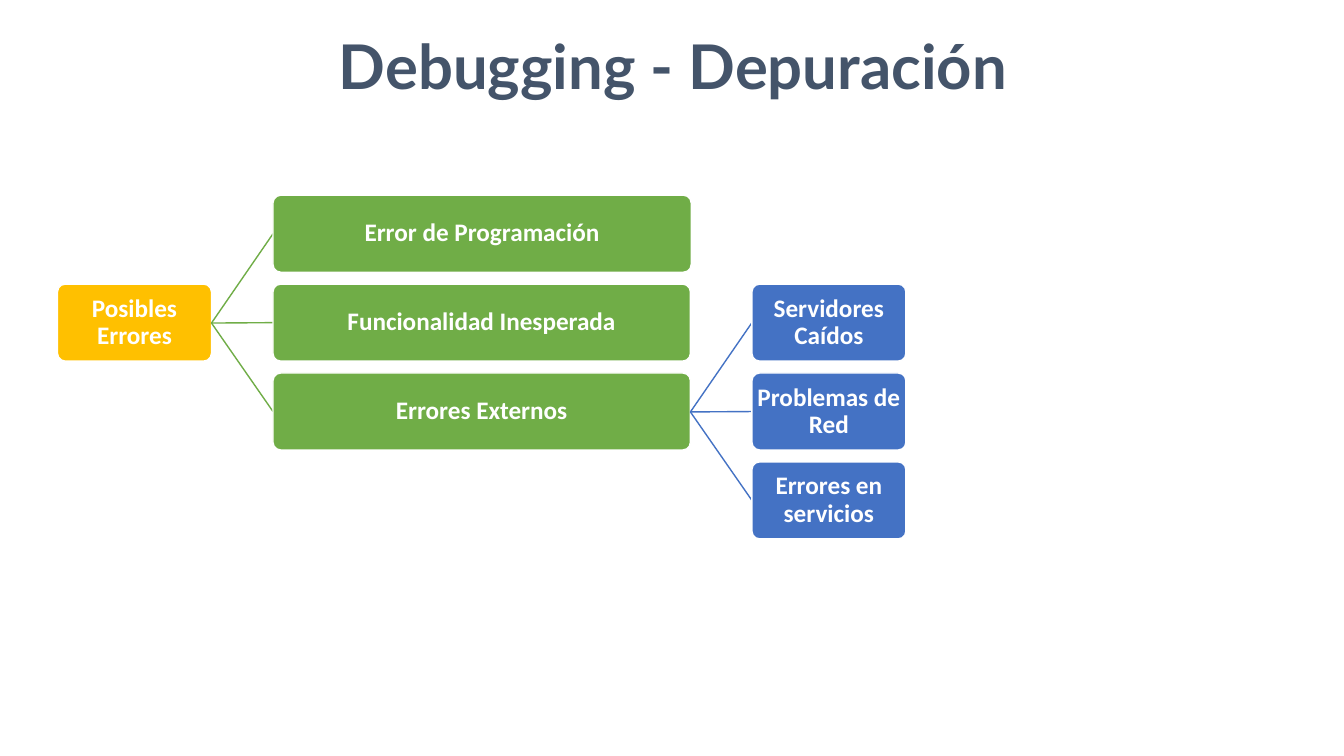
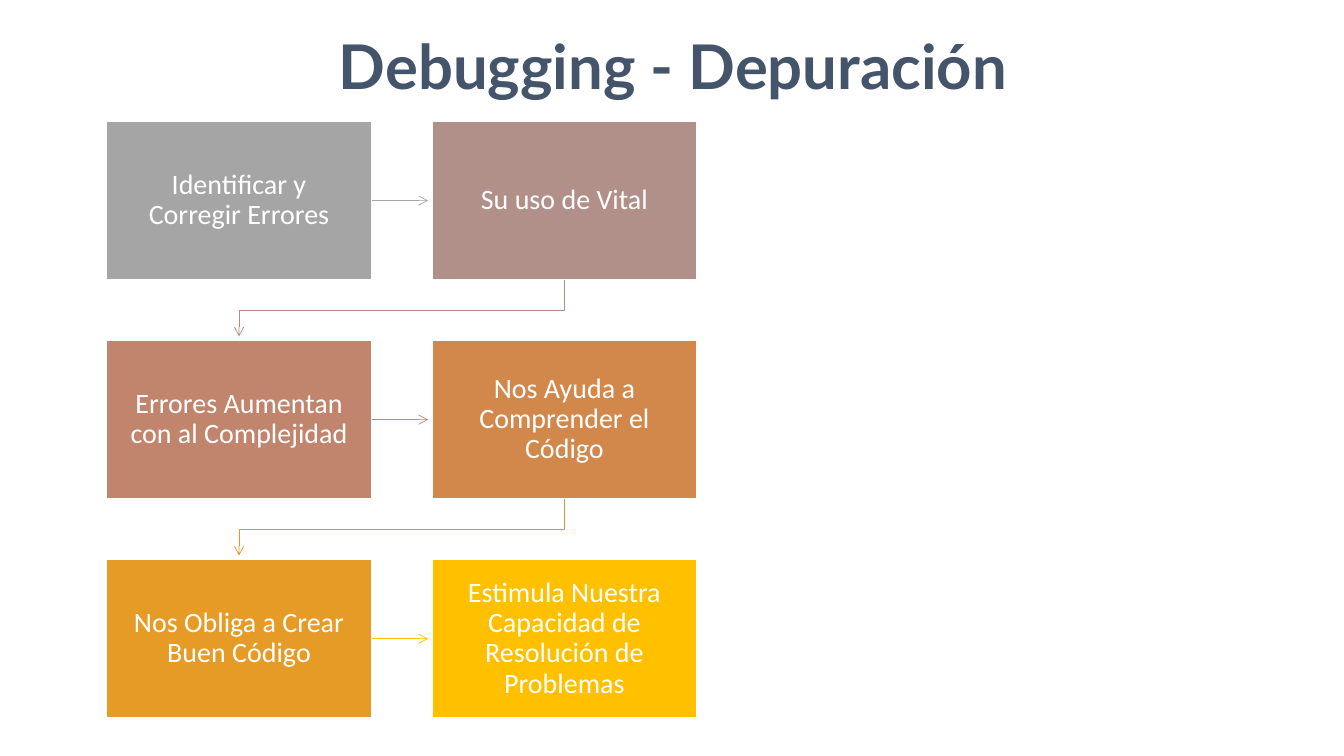
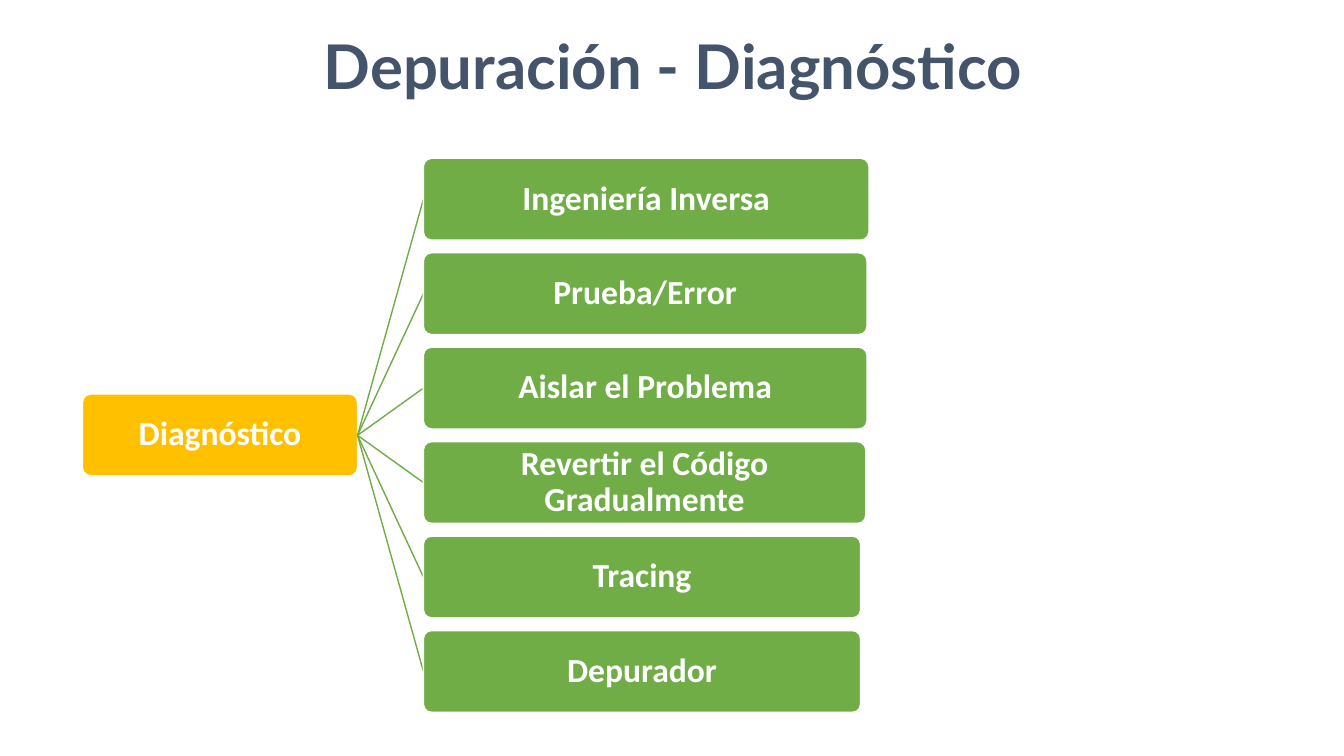
"""Build three slides on debugging: error types, reasons and diagnosis."""
import colorsys
from dataclasses import dataclass

from lxml import etree
from pptx import Presentation
from pptx import util as u
from pptx.dml.color import RGBColor
from pptx.enum import shapes, text
from pptx.oxml import ns


@dataclass(frozen=True)
class Theme:
    title_font: str = "Lato"
    body_font: str = "Calibri"
    title: RGBColor = RGBColor(0x44, 0x54, 0x6A)
    white: RGBColor = RGBColor(0xFF, 0xFF, 0xFF)
    gold: RGBColor = RGBColor(0xFF, 0xC0, 0x00)
    green: RGBColor = RGBColor(0x70, 0xAD, 0x47)
    blue: RGBColor = RGBColor(0x44, 0x72, 0xC4)
    title_size: u.Pt = u.Pt(44)
    errors_size: u.Pt = u.Pt(18)
    reasons_size: u.Pt = u.Pt(20)
    diagnosis_size: u.Pt = u.Pt(24)


theme = Theme()
RECT = shapes.MSO_SHAPE.RECTANGLE
ROUNDED = shapes.MSO_SHAPE.ROUNDED_RECTANGLE


def add_box(page, label, frame, colour, size, kind=ROUNDED, inset=0.03):
    box = page.shapes.add_shape(kind, *[u.Cm(length) for length in frame])
    box.shadow.inherit = False
    box.fill.solid()
    box.fill.fore_color.rgb = colour
    box.line.color.rgb = theme.white
    box.line.width = u.Pt(1)
    if kind == ROUNDED:
        box.adjustments[0] = 0.1
    words = box.text_frame
    words.word_wrap = True
    words.vertical_anchor = text.MSO_ANCHOR.MIDDLE
    words.margin_left = words.margin_right = u.Cm(inset)
    words.margin_top = words.margin_bottom = u.Cm(inset)
    words.text = label
    para = words.paragraphs[0]
    para.alignment = text.PP_ALIGN.CENTER
    para.line_spacing = 0.9
    para.font.name = theme.body_font
    para.font.size = size
    para.font.bold = kind == ROUNDED
    para.font.color.rgb = theme.white


def add_link(page, points, colour, width=1, arrow=False):
    points = [(u.Cm(x), u.Cm(y)) for x, y in points]
    if len(points) == 2:
        link = page.shapes.add_connector(
            shapes.MSO_CONNECTOR.STRAIGHT, *points[0], *points[1])
    else:
        outline = page.shapes.build_freeform(*points[0], scale=1.0)
        outline.add_line_segments(points[1:], close=False)
        link = outline.convert_to_shape()
        link.fill.background()
    link.line.color.rgb = colour
    link.line.width = u.Pt(width)
    if arrow:
        etree.SubElement(link.get_or_add_ln(), ns.qn("a:tailEnd"), type="arrow")
    etree.SubElement(link.element.spPr, ns.qn("a:effectLst"))


deck = Presentation()
deck.slide_width, deck.slide_height = u.Cm(33.87), u.Cm(19.05)
layout = deck.slide_layouts[5]
heading = layout.placeholders[0]
heading.left, heading.top = u.Cm(0.33), u.Cm(0.66)
heading.width, heading.height = u.Cm(33.27), u.Cm(2.01)

pages = []
for title in ("Debugging - Depuración", "Debugging - Depuración",
              "Depuración - Diagnóstico"):
    page = deck.slides.add_slide(layout)
    words = page.shapes.title.text_frame
    words.text = title
    words.auto_size = text.MSO_AUTO_SIZE.NONE
    words.vertical_anchor = text.MSO_ANCHOR.TOP
    words.margin_left = words.margin_right = u.Cm(0.13)
    words.margin_top = words.margin_bottom = u.Cm(0.05)
    para = words.paragraphs[0]
    para.alignment = text.PP_ALIGN.CENTER
    para.font.name = theme.title_font
    para.font.size = theme.title_size
    para.font.bold = True
    para.font.color.rgb = theme.title
    pages.append(page)
errors_page, reasons_page, diagnosis_page = pages

add_box(errors_page, "Posibles Errores", (1.45, 7.16, 3.88, 1.94),
        theme.gold, theme.errors_size)
add_box(diagnosis_page, "Diagnóstico", (2.08, 9.93, 6.93, 2.06),
        theme.gold, theme.diagnosis_size)

branches = [
    (errors_page, (5.33, 8.14), (6.88, 4.92), 2.24, 1.94,
     theme.green, theme.errors_size,
     [("Error de Programación", 10.54), ("Funcionalidad Inesperada", 10.52),
      ("Errores Externos", 10.52)]),
    (errors_page, (17.4, 10.38), (18.95, 7.16), 2.24, 1.94,
     theme.blue, theme.errors_size,
     [("Servidores Caídos", 3.88), ("Problemas de Red", 3.88),
      ("Errores en servicios", 3.88)]),
    (diagnosis_page, (9.01, 10.97), (10.67, 3.99), 2.38, 2.06,
     theme.green, theme.diagnosis_size,
     [("Ingeniería Inversa", 11.23), ("Prueba/Error", 11.18),
      ("Aislar el Problema", 11.18), ("Revertir el Código Gradualmente", 11.15),
      ("Tracing", 11.02), ("Depurador", 11.02)]),
]
for page, start, (left, first_top), pitch, height, colour, size, items in branches:
    for row, (label, width) in enumerate(items):
        top = first_top + row * pitch
        add_link(page, [start, (left, top + height / 2)], colour)
        add_box(page, label, (left, top, width, height), colour, size)

reasons = ["Identificar y Corregir Errores", "Su uso de Vital",
           "Errores Aumentan con al Complejidad",
           "Nos Ayuda a Comprender el Código", "Nos Obliga a Crear Buen Código",
           "Estimula Nuestra Capacidad de Resolución de Problemas"]
first_left, first_top, across, down = 2.69, 3.06, 8.2, 5.52
width, height, gap, bend = 6.67, 3.99, 0.1, 0.77

blends = []
for steps in (len(reasons) - 1, len(reasons) - 2):
    blend = []
    for step in range(steps + 1):
        share = step / steps
        channels = colorsys.hls_to_rgb(share * 45.2 / 360, 0.647 - 0.147 * share, share)
        blend.append(RGBColor(*[round(channel * 255) for channel in channels]))
    blends.append(blend)
box_colours, link_colours = blends

for index, label in enumerate(reasons):
    row, column = divmod(index, 2)
    left, top = first_left + column * across, first_top + row * down
    if index < len(link_colours):
        if column == 0:
            middle = top + height / 2
            route = [(left + width, middle), (left + across - gap, middle)]
        else:
            bottom, centre = top + height, left + width / 2
            route = [(centre, bottom), (centre, bottom + bend),
                     (centre - across, bottom + bend),
                     (centre - across, top + down - gap)]
        add_link(reasons_page, route, link_colours[index], 0.5, arrow=True)
    add_box(reasons_page, label, (left, top, width, height), box_colours[index],
            theme.reasons_size, RECT, 0.41)

deck.save("out.pptx")
